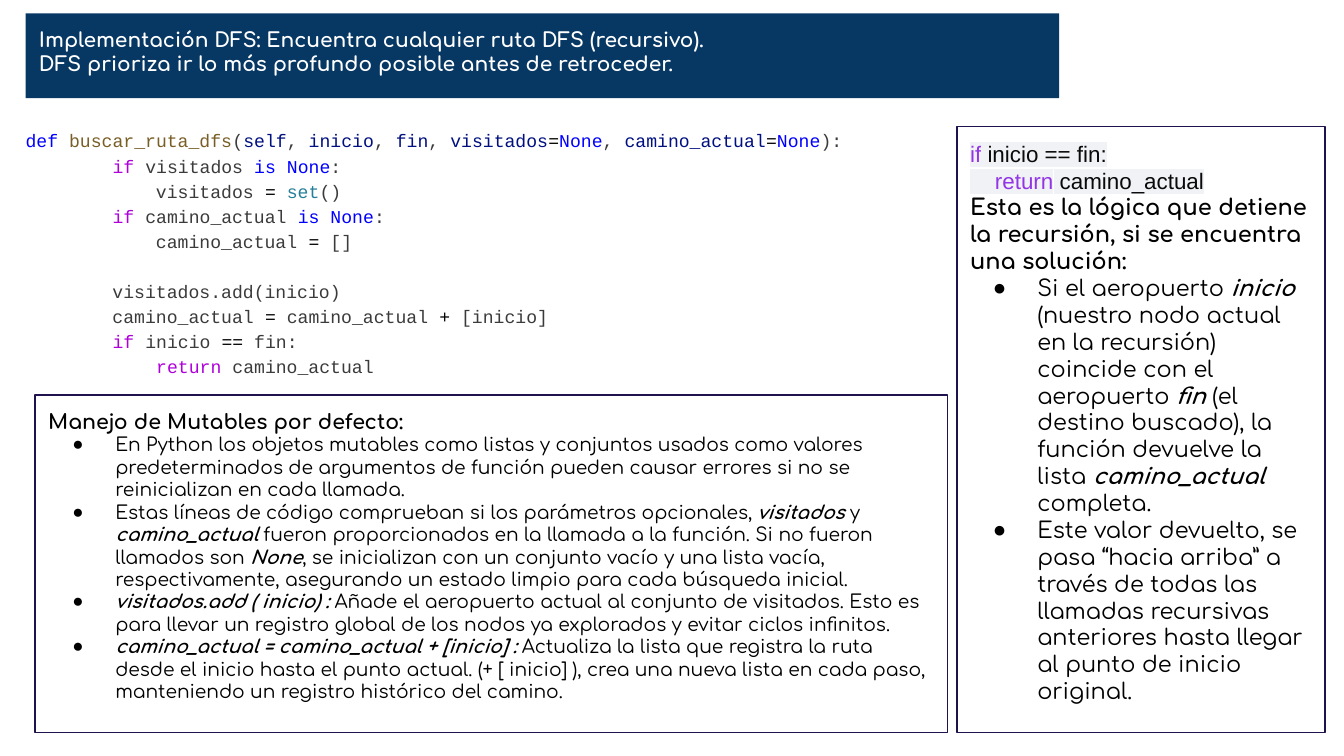
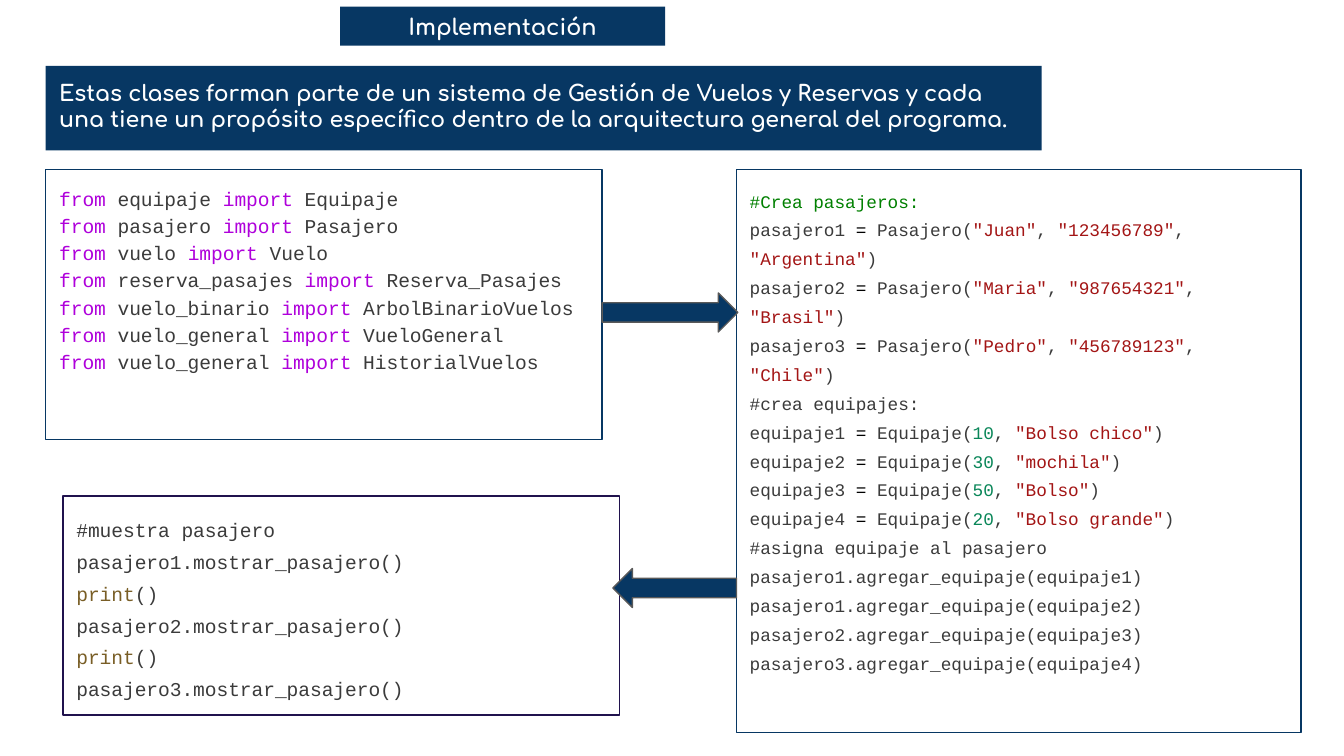
from itertools import groupby

from lxml.etree import SubElement
from pptx import Presentation
from pptx.dml.color import RGBColor
from pptx.enum.shapes import MSO_SHAPE as Shape
from pptx.enum.text import MSO_ANCHOR as Anchor, MSO_AUTO_SIZE as AutoSize, PP_ALIGN as Align
from pptx.oxml.ns import qn
from pptx.util import Inches, Pt

NAVY = RGBColor(0x07, 0x37, 0x63)
INDIGO = RGBColor(0x20, 0x12, 0x4D)
GRAY = RGBColor(0x59, 0x59, 0x59)
WHITE = RGBColor(0xFF, 0xFF, 0xFF)
BLACK = RGBColor(0x00, 0x00, 0x00)
CODE_TEXT = RGBColor(0x3B, 0x3B, 0x3B)
KEYWORD = RGBColor(0xAF, 0x00, 0xDB)
CONSTANT = RGBColor(0x00, 0x00, 0xFF)
FUNCTION = RGBColor(0x79, 0x5E, 0x26)
PARAMETER = RGBColor(0x00, 0x10, 0x80)
BUILTIN = RGBColor(0x26, 0x7F, 0x99)
COMMENT = RGBColor(0x00, 0x80, 0x00)
STRING = RGBColor(0xA3, 0x15, 0x15)
NUMBER = RGBColor(0x09, 0x86, 0x58)
SNIPPET_TEXT = RGBColor(0x0A, 0x0A, 0x0A)
SNIPPET_KEYWORD = RGBColor(0x93, 0x34, 0xE6)
SNIPPET_BACK = RGBColor(0xF0, 0xF2, 0xF5)

PROSE_FONT, CODE_FONT, SNIPPET_FONT = "Comfortaa", "Courier New", "Arial"

CODE_COLORS = {
    **dict.fromkeys(["if", "return", "from", "import"], KEYWORD),
    **dict.fromkeys(["def", "is", "None"], CONSTANT),
    **dict.fromkeys(["buscar_ruta_dfs", "print"], FUNCTION),
    **dict.fromkeys(["=", "==", "+"], BLACK),
    "set": BUILTIN,
    "#Crea pasajeros:": COMMENT,
}
SNIPPET_COLORS = dict.fromkeys(["if", "return"], SNIPPET_KEYWORD)

DFS_TITLE = [
    "Implementación DFS: Encuentra cualquier ruta DFS (recursivo).",
    "DFS prioriza ir lo más profundo posible antes de retroceder.",
]
DFS_CODE = """\
def buscar_ruta_dfs(self, inicio, fin, visitados=None, camino_actual=None):
        if visitados is None:
            visitados = set()
        if camino_actual is None:
            camino_actual = []

        visitados.add(inicio)
        camino_actual = camino_actual + [inicio]
        if inicio == fin:
            return camino_actual"""
# Asterisks enclose bold italic words.
MUTABLES_HEADING = "Manejo de Mutables por defecto:"
MUTABLES_POINTS = [
    "En Python los objetos mutables como listas y conjuntos usados como valores predeterminados "
    "de argumentos de función pueden causar errores si no se reinicializan en cada llamada.",
    "Estas líneas de código comprueban si los parámetros opcionales, *visitados* y "
    "*camino_actual* fueron proporcionados en la llamada a la función. Si no fueron llamados "
    "son *None*, se inicializan con un conjunto vacío y una lista vacía, respectivamente, "
    "asegurando un estado limpio para cada búsqueda inicial.",
    "*visitados.add ( inicio) : *Añade el aeropuerto actual al conjunto de visitados. Esto es "
    "para llevar un registro global de los nodos ya explorados y evitar ciclos infinitos.",
    "*camino_actual = camino_actual + [inicio] : *Actualiza la lista que registra la ruta desde "
    "el inicio hasta el punto actual. (+ [ inicio] ), crea una nueva lista en cada paso, "
    "manteniendo un registro histórico del camino.",
]
STOP_CODE = """\
if inicio == fin:
    return camino_actual"""
STOP_HEADING = "Esta es la lógica que detiene la recursión, si se encuentra una solución:"
STOP_POINTS = [
    "Si el aeropuerto *inicio* (nuestro nodo actual en la recursión) coincide con el aeropuerto "
    "*fin* (el destino buscado), la función devuelve la lista *camino_actual* completa.",
    "Este valor devuelto, se pasa “hacia arriba” a través de todas las llamadas recursivas "
    "anteriores hasta llegar al punto de inicio original.",
]

SECTION_LABEL = "Implementación"
CLASSES_TITLE = [
    "Estas clases forman parte de un sistema de Gestión de Vuelos y Reservas y cada una tiene "
    "un propósito específico dentro de la arquitectura general del programa."
]
IMPORTS_CODE = """\
from equipaje import Equipaje
from pasajero import Pasajero
from vuelo import Vuelo
from reserva_pasajes import Reserva_Pasajes
from vuelo_binario import ArbolBinarioVuelos
from vuelo_general import VueloGeneral
from vuelo_general import HistorialVuelos"""
PASSENGERS_CODE = """\
#Crea pasajeros:
pasajero1 = Pasajero("Juan", "123456789", "Argentina")
pasajero2 = Pasajero("Maria", "987654321", "Brasil")
pasajero3 = Pasajero("Pedro", "456789123", "Chile")
#crea equipajes:
equipaje1 = Equipaje(10, "Bolso chico")
equipaje2 = Equipaje(30, "mochila")
equipaje3 = Equipaje(50, "Bolso")
equipaje4 = Equipaje(20, "Bolso grande")
#asigna equipaje al pasajero
pasajero1.agregar_equipaje(equipaje1)
pasajero1.agregar_equipaje(equipaje2)
pasajero2.agregar_equipaje(equipaje3)
pasajero3.agregar_equipaje(equipaje4)"""
DISPLAY_CODE = """\
#muestra pasajero
pasajero1.mostrar_pasajero()
print()
pasajero2.mostrar_pasajero()
print()
pasajero3.mostrar_pasajero()"""


def character_class(character):
    if character.isalnum() or character == "_":
        return "word"
    return "operator" if character in "=+" else "other"


def color_tokens(line, colors, plain):
    """Yield (token, colour) pairs for one line of code."""
    if line in colors:
        yield line, colors[line]
        return
    for index, part in enumerate(line.split('"')):
        if index % 2:
            yield f'"{part}"', STRING
            continue
        for kind, characters in groupby(part, character_class):
            token = "".join(characters)
            color = colors.get(token, plain)
            if token.isdigit():
                color = NUMBER
            elif kind == "word" and line.startswith("def ") and token not in colors:
                color = PARAMETER
            yield token, color


def code(source, size, spacing=1.0, font=CODE_FONT, colors=CODE_COLORS, plain=CODE_TEXT, back=None):
    """Return one paragraph per line; an empty line becomes space before the next."""
    paragraphs, gap = [], 0
    for line in source.splitlines():
        if not line:
            gap = size * 1.38
            continue
        runs = []
        for color, tokens in groupby(color_tokens(line, colors, plain), lambda pair: pair[1]):
            text = "".join(token for token, _ in tokens)
            runs.append((text, {"name": font, "size": Pt(size)}, color, back))
        paragraphs.append({"runs": runs, "line_spacing": spacing, "space_before": Pt(gap)})
        gap = 0
    return paragraphs


def prose(text, size, bold=False, color=BLACK, **paragraph_format):
    runs = []
    for index, part in enumerate(text.split("*")):
        if part:
            marked = index % 2 == 1
            font = {"name": PROSE_FONT, "size": Pt(size), "bold": bold or marked, "italic": marked}
            runs.append((part, font, color, None))
    return {"runs": runs, **paragraph_format}


def bullets(points, size, hanging):
    return [prose(point, size, hanging=hanging) for point in points]


def set_bullet(paragraph, hanging):
    properties = paragraph._p.get_or_add_pPr()
    properties.set("marL", str(Inches(0.5) if hanging else 0))
    properties.set("indent", str(-Inches(hanging)))
    if not hanging:
        SubElement(properties, qn("a:buNone"))
        return
    bullet_color = SubElement(properties, qn("a:buClr"))
    SubElement(bullet_color, qn("a:srgbClr"), val=str(BLACK))
    SubElement(properties, qn("a:buFont"), typeface=SNIPPET_FONT)
    SubElement(properties, qn("a:buChar"), char="●")


def add_run(paragraph, text, font_format, color, back):
    run = paragraph.add_run()
    run.text = text
    run.font.color.rgb = color
    if back is not None:
        highlight = SubElement(run._r.get_or_add_rPr(), qn("a:highlight"))
        SubElement(highlight, qn("a:srgbClr"), val=str(back))
    for name, value in font_format.items():
        setattr(run.font, name, value)


def write(shape, paragraphs, anchor=Anchor.TOP):
    frame = shape.text_frame
    frame_format = {"word_wrap": True, "auto_size": AutoSize.NONE, "vertical_anchor": anchor}
    for side in ("left", "top", "right", "bottom"):
        frame_format[f"margin_{side}"] = Inches(0.1)
    for name, value in frame_format.items():
        setattr(frame, name, value)
    for index, content in enumerate(paragraphs):
        paragraph = frame.add_paragraph() if index else frame.paragraphs[0]
        set_bullet(paragraph, content.get("hanging", 0))
        paragraph_format = {"alignment": Align.LEFT, "line_spacing": 1.0,
                            "space_before": Pt(0), "space_after": Pt(0)}
        for name, default in paragraph_format.items():
            setattr(paragraph, name, content.get(name, default))
        for run in content["runs"]:
            add_run(paragraph, *run)


def paint(shape, fill=None, line=None):
    if fill is None:
        shape.fill.background()
    else:
        shape.fill.solid()
        shape.fill.fore_color.rgb = fill
    if line is None:
        shape.line.fill.background()
    else:
        shape.line.color.rgb = line
        shape.line.width = Pt(0.75)


def place(shape, area):
    for name, value in zip(("left", "top", "width", "height"), area):
        setattr(shape, name, Inches(value))


def add_shape(slide, area, fill=None, line=None, kind=Shape.RECTANGLE):
    shape = slide.shapes.add_shape(kind, *map(Inches, area))
    shape.shadow.inherit = False
    paint(shape, fill, line)
    return shape


def add_slide(presentation, title, title_size, title_area, body, body_area, body_line=None):
    slide = presentation.slides.add_slide(presentation.slide_layouts[1])
    heading, listing = slide.shapes.title, slide.placeholders[1]
    place(heading, title_area)
    paint(heading, fill=NAVY)
    write(heading, [prose(text, title_size, bold=True, color=WHITE) for text in title])
    place(listing, body_area)
    paint(listing, line=body_line)
    write(listing, body)
    return slide


def build_dfs_slide(presentation):
    slide = add_slide(presentation, DFS_TITLE, 10.8, (0.19, 0.1, 7.69, 0.63),
                      code(DFS_CODE, 9.7, 1.16), (0.09, 0.84, 7.13, 2.36))
    mutables = add_shape(slide, (0.26, 2.94, 6.79, 2.51), line=INDIGO)
    write(mutables, [prose(MUTABLES_HEADING, 11, bold=True), *bullets(MUTABLES_POINTS, 10, 0.32)])
    stop = add_shape(slide, (7.12, 0.94, 2.74, 4.51), line=INDIGO)
    snippet = code(STOP_CODE, 12, font=SNIPPET_FONT, colors=SNIPPET_COLORS,
                   plain=SNIPPET_TEXT, back=SNIPPET_BACK)
    write(stop, [*snippet, prose(STOP_HEADING, 12, bold=True), *bullets(STOP_POINTS, 12, 0.33)])


def build_classes_slide(presentation):
    slide = add_slide(presentation, CLASSES_TITLE, 11.8, (0.34, 0.49, 7.41, 0.63),
                      code(IMPORTS_CODE, 10.5, 1.16), (0.34, 1.26, 4.14, 2.01), NAVY)
    passengers = add_shape(slide, (5.48, 1.26, 4.2, 4.19), line=NAVY)
    write(passengers, code(PASSENGERS_CODE, 9.5, 1.36))
    display = add_shape(slide, (0.47, 3.69, 4.14, 1.63), line=INDIGO)
    write(display, code(DISPLAY_CODE, 10.5, 1.36))
    for area, rotation in [((4.48, 2.18, 1.01, 0.29), 0), ((4.56, 4.23, 0.92, 0.29), 180)]:
        arrow = add_shape(slide, area, NAVY, GRAY, Shape.RIGHT_ARROW)
        arrow.rotation = rotation
    label = add_shape(slide, (2.53, 0.05, 2.42, 0.29), fill=NAVY)
    write(label, [prose(SECTION_LABEL, 12, bold=True, color=WHITE, alignment=Align.CENTER)],
          Anchor.MIDDLE)


def main():
    presentation = Presentation()
    presentation.slide_width = Inches(10)
    presentation.slide_height = presentation.slide_width * 9 // 16
    build_dfs_slide(presentation)
    build_classes_slide(presentation)
    presentation.save("out.pptx")


if __name__ == "__main__":
    main()
